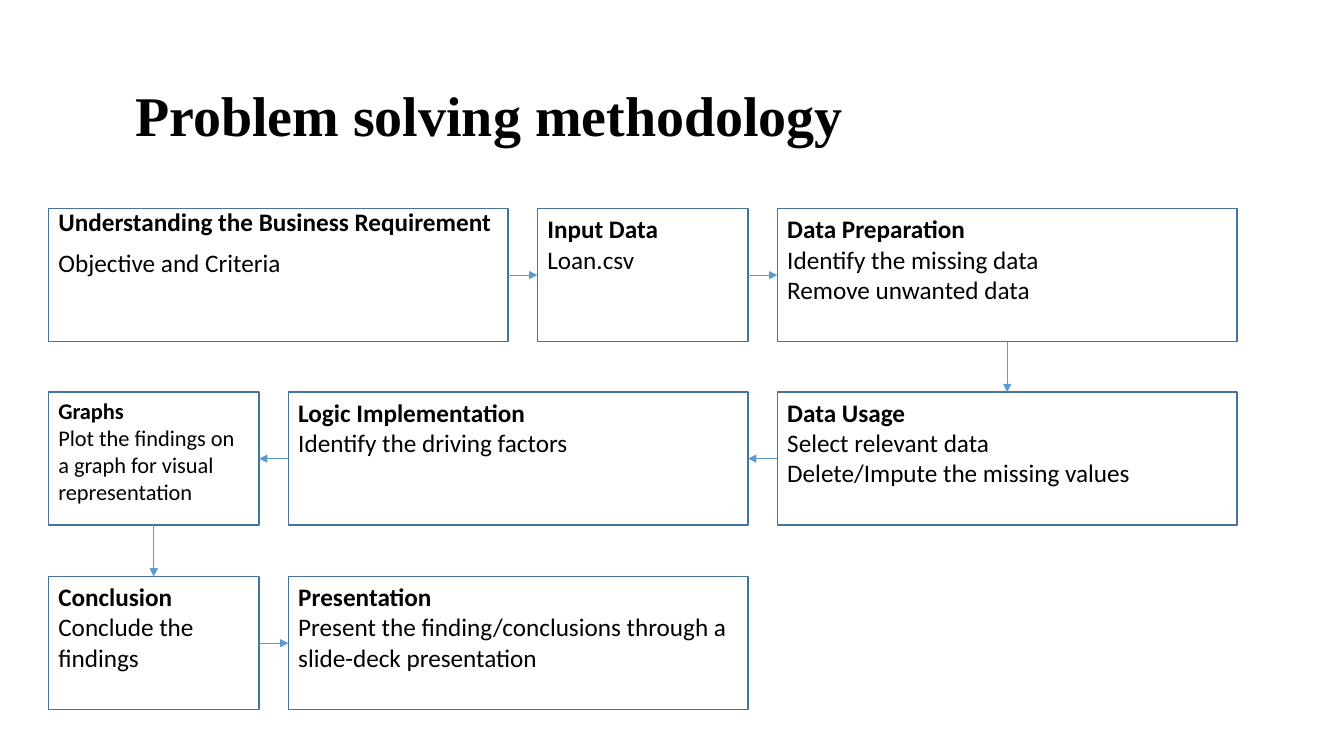
import pptx
import pptx.util
import pptx.dml.color
import pptx.enum.shapes
import pptx.enum.text
import pptx.oxml.ns
import lxml.etree

Inches, Pt = pptx.util.Inches, pptx.util.Pt
ANCHOR = pptx.enum.text.MSO_ANCHOR


def color(value):
    return pptx.dml.color.RGBColor.from_string(value)


def write(frame, lines, size=18, font="Calibri", anchor=ANCHOR.TOP, spacing=1.0, before=0):
    """Write one paragraph per line, the first one bold."""
    frame.word_wrap = True
    frame.auto_size = pptx.enum.text.MSO_AUTO_SIZE.NONE
    frame.vertical_anchor = anchor
    for number, line in enumerate(lines):
        para = frame.add_paragraph() if number else frame.paragraphs[0]
        para.alignment = pptx.enum.text.PP_ALIGN.LEFT
        para.line_spacing, para.space_before = spacing, Pt(before)
        span = para.add_run()
        span.text = line
        span.font.name, span.font.size = font, Pt(size)
        span.font.bold = number == 0
        span.font.color.rgb = color("000000")


deck = pptx.Presentation()
deck.slide_width, deck.slide_height = Inches(13.33), Inches(7.5)
page = deck.slides.add_slide(deck.slide_layouts[1])

# Title
title = page.shapes.title
title.left, title.top, title.width, title.height = map(Inches, (1.24, 0.7, 10.19, 0.94))
write(title.text_frame, ["Problem solving methodology"], size=40,
      font="Times New Roman", anchor=ANCHOR.MIDDLE, spacing=0.9)

# Body: the text of the first step
body = page.placeholders[1]
body.left, body.top, body.width, body.height = map(Inches, (0.48, 2.03, 12.21, 5.01))
write(body.text_frame, ["Understanding the Business Requirement", "Objective and Criteria"],
      spacing=0.9, before=10)
for para in body.text_frame.paragraphs:
    properties = para._p.get_or_add_pPr()
    properties.set("marL", "0")
    properties.set("indent", "0")
    lxml.etree.SubElement(properties, pptx.oxml.ns.qn("a:buNone"))

# Grid: each row holds narrow and wide boxes with equal gaps
LEFT, GAP, HEIGHT = 0.48, 0.29, 1.32
NARROW, WIDE = 2.09, 4.56
rows = [
    (2.07, [
        (WIDE, []),
        (NARROW, ["Input Data", "Loan.csv"]),
        (WIDE, ["Data Preparation", "Identify the missing data", "Remove unwanted data"]),
    ]),
    (3.89, [
        (NARROW, ["Graphs", "Plot the findings on a graph for visual representation"]),
        (WIDE, ["Logic Implementation", "Identify the driving factors"]),
        (WIDE, ["Data Usage", "Select relevant data", "Delete/Impute the missing values"]),
    ]),
    (5.72, [
        (NARROW, ["Conclusion", "Conclude the findings"]),
        (WIDE, ["Presentation",
                "Present the finding/conclusions through a slide-deck presentation"]),
    ]),
]

# Step boxes
boxes = []
for top, steps in rows:
    left = LEFT
    for width, lines in steps:
        box = page.shapes.add_shape(pptx.enum.shapes.MSO_SHAPE.RECTANGLE,
                                    Inches(left), Inches(top), Inches(width), Inches(HEIGHT))
        box.shadow.inherit = False
        box.fill.background()
        box.line.color.rgb = color("43739E")
        box.line.width = Pt(1)
        write(box.text_frame, lines, size=16 if "Graphs" in lines else 18)
        boxes.append(box)
        left += width + GAP

# Arrows follow the flow: right, down, left, down, right
requirement, data, preparation, graphs, logic, usage, conclusion, presentation = boxes
TOP_SIDE, LEFT_SIDE, BOTTOM_SIDE, RIGHT_SIDE = range(4)
arrows = [
    (requirement, RIGHT_SIDE, data, LEFT_SIDE),
    (data, RIGHT_SIDE, preparation, LEFT_SIDE),
    (preparation, BOTTOM_SIDE, usage, TOP_SIDE),
    (usage, LEFT_SIDE, logic, RIGHT_SIDE),
    (logic, LEFT_SIDE, graphs, RIGHT_SIDE),
    (graphs, BOTTOM_SIDE, conclusion, TOP_SIDE),
    (conclusion, RIGHT_SIDE, presentation, LEFT_SIDE),
]
for start, start_side, end, end_side in arrows:
    arrow = page.shapes.add_connector(pptx.enum.shapes.MSO_CONNECTOR.STRAIGHT, 0, 0, 0, 0)
    arrow.begin_connect(start, start_side)
    arrow.end_connect(end, end_side)
    arrow.line.color.rgb = color("5B9BD5")
    arrow.line.width = Pt(0.5)
    head = lxml.etree.SubElement(arrow.line._get_or_add_ln(), pptx.oxml.ns.qn("a:tailEnd"))
    head.set("type", "triangle")
    lxml.etree.SubElement(arrow._element.spPr, pptx.oxml.ns.qn("a:effectLst"))

deck.save("out.pptx")
